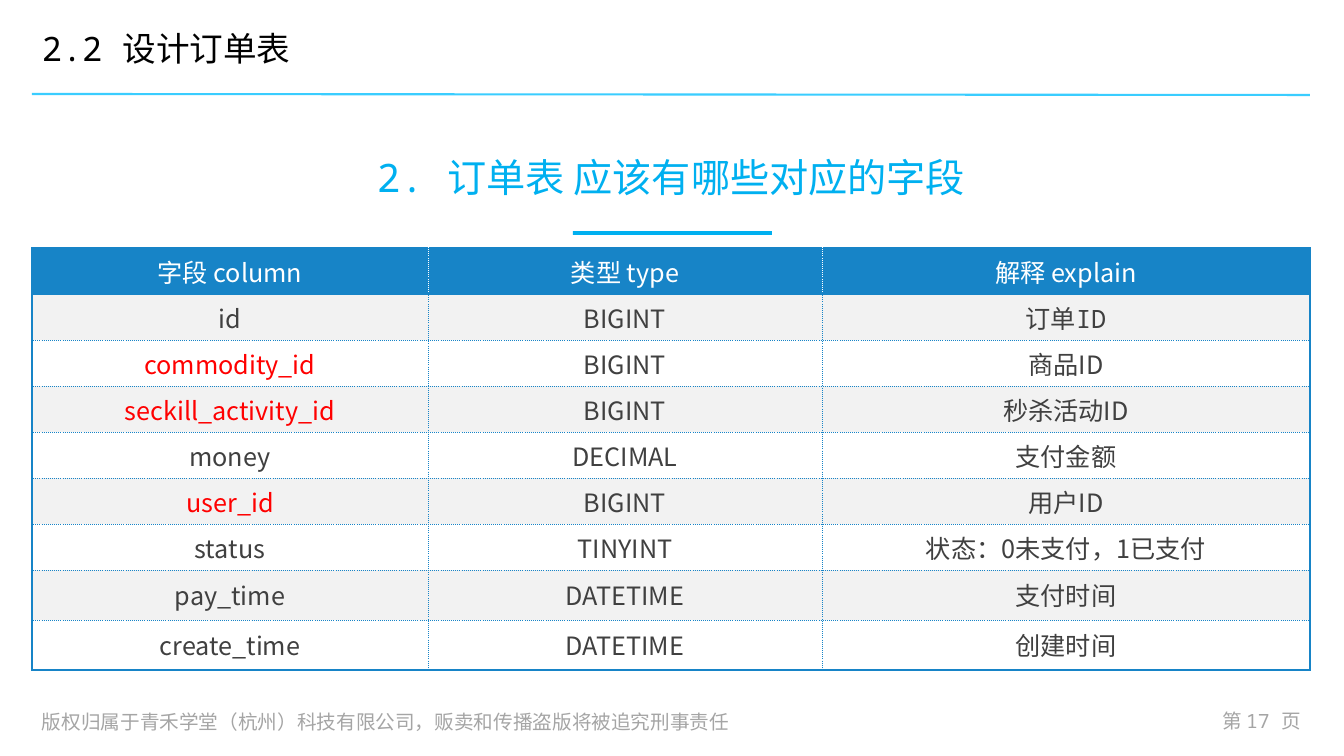
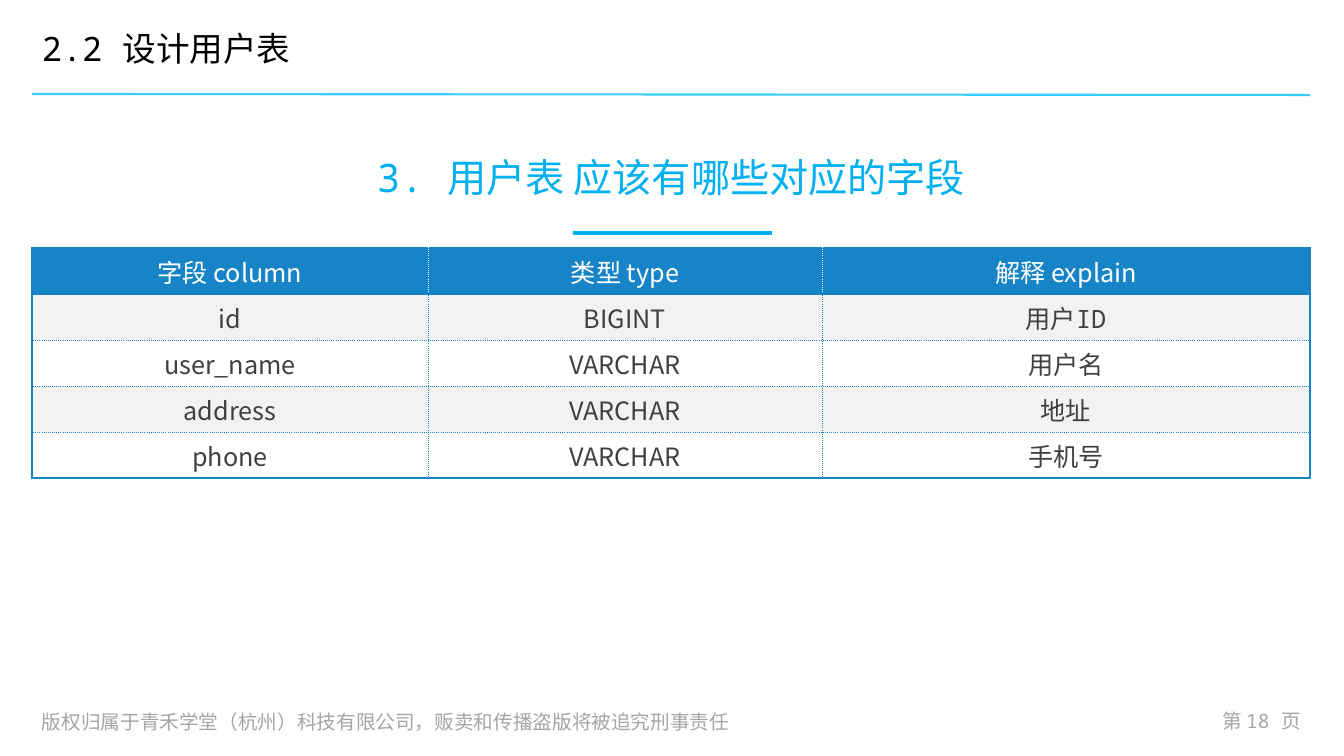
from lxml import etree
from pptx import Presentation
from pptx.dml.color import RGBColor
from pptx.enum.shapes import MSO_CONNECTOR, MSO_SHAPE
from pptx.enum.text import MSO_ANCHOR, MSO_AUTO_SIZE, PP_ALIGN
from pptx.oxml.ns import qn
from pptx.util import Pt

SLIDE_W, SLIDE_H = 1344, 756
SCALE = 12192000 / SLIDE_W
LEFT, WIDTH = 32, 1278
TITLE_ONLY = 5

ALIGN_LEFT, ALIGN_CENTER, ALIGN_RIGHT = PP_ALIGN.LEFT, PP_ALIGN.CENTER, PP_ALIGN.RIGHT
TOP, MIDDLE, BOTTOM = MSO_ANCHOR.TOP, MSO_ANCHOR.MIDDLE, MSO_ANCHOR.BOTTOM
NO_AUTOFIT = MSO_AUTO_SIZE.NONE
STRAIGHT, RECT = MSO_CONNECTOR.STRAIGHT, MSO_SHAPE.RECTANGLE

COPYRIGHT = "版权归属于青禾学堂（杭州）科技有限公司，贩卖和传播盗版将被追究刑事责任"
HEADERS = ("字段 column", "类型 type", "解释 explain")
FOREIGN_KEYS = {"commodity_id", "seckill_activity_id", "user_id"}

ORDER_FIELDS = [
    ("id", "BIGINT", "订单ID"),
    ("commodity_id", "BIGINT", "商品ID"),
    ("seckill_activity_id", "BIGINT", "秒杀活动ID"),
    ("money", "DECIMAL", "支付金额"),
    ("user_id", "BIGINT", "用户ID"),
    ("status", "TINYINT", "状态：0未支付，1已支付"),
    ("pay_time", "DATETIME", "支付时间"),
    ("create_time", "DATETIME", "创建时间"),
]
USER_FIELDS = [
    ("id", "BIGINT", "用户ID"),
    ("user_name", "VARCHAR", "用户名"),
    ("address", "VARCHAR", "地址"),
    ("phone", "VARCHAR", "手机号"),
]


def px(n):
    return round(n * SCALE)


def rgb(value):
    return RGBColor.from_string(value)


class Deck:
    SANS, MONO = "Noto Sans CJK SC", "Noto Sans Mono"
    BLACK, WHITE, RED = "000000", "FFFFFF", "FF0000"
    ACCENT, RULE, TABLE = "00B0F0", "3ACDFF", "1784C7"
    BAND, BODY, MUTED = "F2F2F2", "404040", "A5A5A5"
    COLUMNS = (396, 394, 488)
    ROW_H, TALL_ROW_H = 46, 50

    def __init__(self):
        self.prs = Presentation()
        self.prs.slide_width, self.prs.slide_height = px(SLIDE_W), px(SLIDE_H)
        self.s = None

    def add_slide(self, section, title, page):
        self.s = self.prs.slides.add_slide(self.prs.slide_layouts[TITLE_ONLY])
        self.rule()
        self.text(COPYRIGHT, (LEFT, 704, 782, 35), 14, self.MUTED)
        self.text(f"第 {page} 页", (1190, 704, 121, 35), 14, self.MUTED,
                  align=ALIGN_RIGHT, anchor=TOP)
        self.bar(573, 231, 199, 4)
        self.title(title)
        self.text(section, (LEFT, 15, WIDTH, 72), 24, self.BLACK, spacing=0.9)

    def add_run(self, tf, text, size, color, font, align):
        """Add one styled run to the first paragraph and return the paragraph."""
        p = tf.paragraphs[0]
        p.alignment = align
        r = p.add_run()
        r.text = text
        r.font.size, r.font.name = Pt(size), font
        r.font.color.rgb = rgb(color)
        ea = etree.SubElement(r.font._element, qn("a:ea"))
        ea.set("typeface", self.SANS)
        return p

    def text(self, text, box, size, color, align=ALIGN_LEFT, anchor=MIDDLE, spacing=1.0):
        sp = self.s.shapes.add_textbox(*map(px, box))
        tf = sp.text_frame
        tf.word_wrap, tf.vertical_anchor = True, anchor
        p = self.add_run(tf, text, size, color, self.MONO, align)
        p.line_spacing = spacing

    def title(self, text):
        sp = self.s.shapes.title
        sp.left, sp.top, sp.width, sp.height = map(px, (LEFT, 106, WIDTH, 100))
        tf = sp.text_frame
        tf.word_wrap, tf.auto_size, tf.vertical_anchor = True, NO_AUTOFIT, BOTTOM
        p = self.add_run(tf, text, 28, self.ACCENT, self.MONO, ALIGN_CENTER)
        p.line_spacing = 0.9

    def rule(self):
        ends = map(px, (LEFT + WIDTH, 95, LEFT, 94))
        line = self.s.shapes.add_connector(STRAIGHT, *ends)
        line.line.color.rgb, line.line.width = rgb(self.RULE), Pt(1.5)
        etree.SubElement(line._element.spPr, qn("a:effectLst"))

    def bar(self, *box):
        sp = self.s.shapes.add_shape(RECT, *map(px, box))
        sp.shadow.inherit = False
        sp.fill.solid()
        sp.fill.fore_color.rgb = rgb(self.ACCENT)
        sp.line.fill.background()

    def border(self, cell, side, color, solid):
        width = Pt(1.5) if solid else Pt(0.25)
        ln = etree.SubElement(cell._tc.get_or_add_tcPr(), qn(f"a:ln{side}"), w=str(int(width)))
        fill = etree.SubElement(ln, qn("a:solidFill"))
        etree.SubElement(fill, qn("a:srgbClr"), val=color)
        etree.SubElement(ln, qn("a:prstDash"), val="solid" if solid else "sysDot")

    def cell(self, cell, text, fill, color, font, edges):
        """Style one cell; edges maps each side to (color, solid)."""
        for side, (edge_color, solid) in edges.items():
            self.border(cell, side, edge_color, solid)
        cell.fill.solid()
        cell.fill.fore_color.rgb = rgb(fill)
        cell.vertical_anchor = MIDDLE
        self.add_run(cell.text_frame, text, 18, color, font, ALIGN_CENTER)

    def table(self, fields, tall_rows=0):
        rows = [HEADERS, *fields]
        last_row, last_col = len(rows) - 1, len(HEADERS) - 1
        heights = [self.ROW_H] * (len(rows) - tall_rows) + [self.TALL_ROW_H] * tall_rows
        frame = self.s.shapes.add_table(len(rows), len(HEADERS), px(LEFT), px(248),
                                        px(WIDTH), px(sum(heights)))
        tbl = frame.table
        tbl.first_row = tbl.horz_banding = False
        for col, width in zip(tbl.columns, self.COLUMNS):
            col.width = px(width)
        for i, (values, height) in enumerate(zip(rows, heights)):
            tbl.rows[i].height = px(height)
            header = i == 0
            fill = self.TABLE if header else self.BAND if i % 2 else self.WHITE
            inner = self.WHITE if header else self.TABLE
            for j, value in enumerate(values):
                first, last = j == 0, j == last_col
                edges = {
                    "L": (self.TABLE if first else inner, first),
                    "R": (self.TABLE if last else inner, last),
                    "T": (self.TABLE, i <= 1),
                    "B": (self.TABLE, i in (0, last_row)),
                }
                color = (self.WHITE if header else
                         self.RED if value in FOREIGN_KEYS else self.BODY)
                font = self.MONO if i == 1 and last else self.SANS
                self.cell(tbl.cell(i, j), value, fill, color, font, edges)


def main():
    deck = Deck()
    deck.add_slide("2.2 设计订单表", "2. 订单表 应该有哪些对应的字段", 17)
    deck.table(ORDER_FIELDS, tall_rows=2)
    deck.add_slide("2.2 设计用户表", "3. 用户表 应该有哪些对应的字段", 18)
    deck.table(USER_FIELDS)
    deck.prs.save("out.pptx")


if __name__ == "__main__":
    main()
